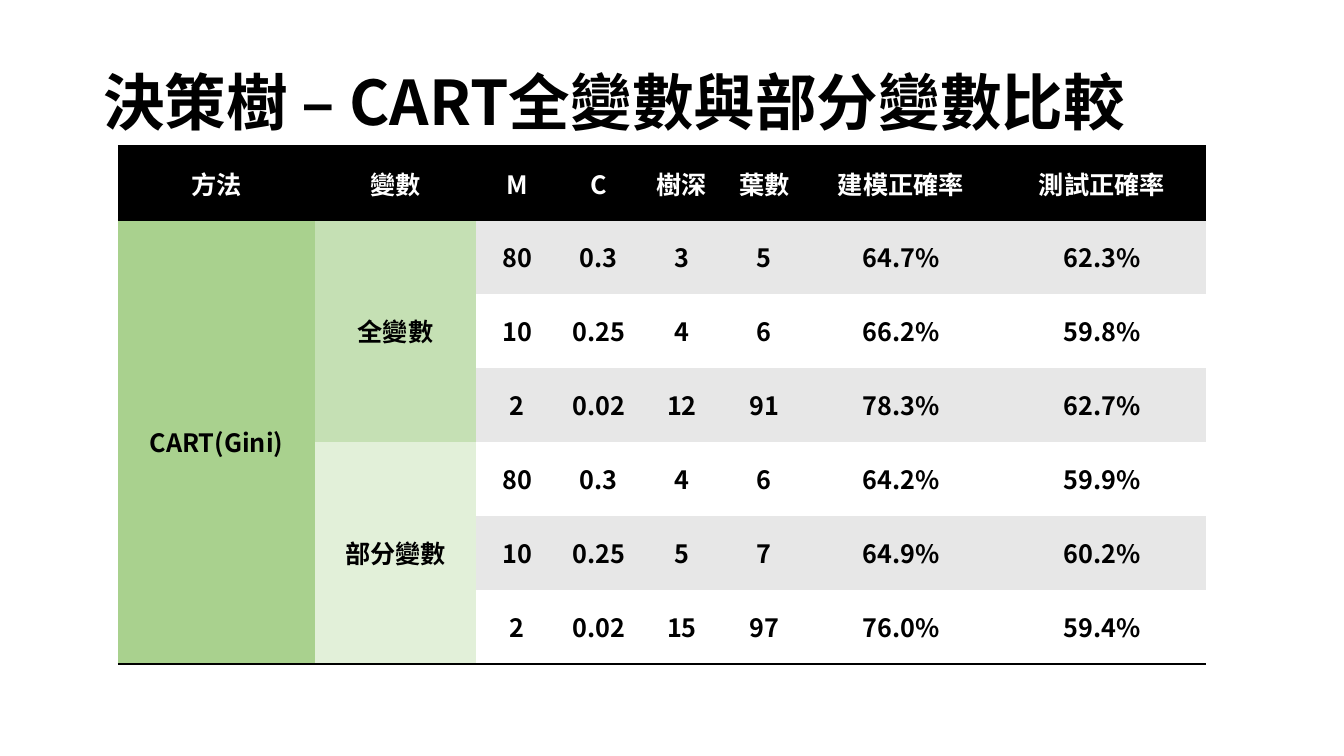
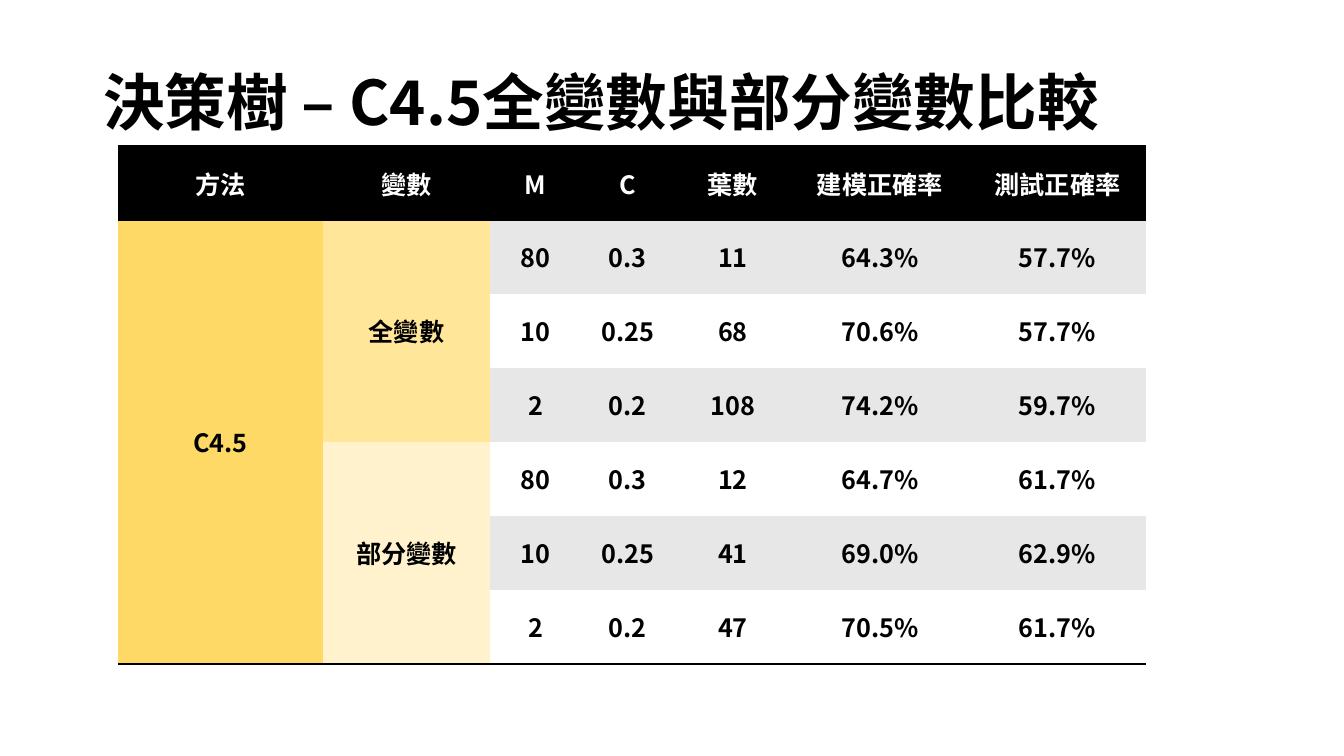
import lxml.etree
import pptx
import pptx.dml.color
import pptx.enum.text
import pptx.oxml.ns
import pptx.util

PX = 12192000 / 1344
FONT = "Noto Sans CJK TC"
BLACK, WHITE, GRAY = "000000", "FFFFFF", "E7E7E7"
NO_STYLE = "{2D5ABB26-0587-4C30-8999-92F81FD0307C}"
TITLE_BOX = (93, 65, 1159, 82)
TABLE_LEFT, TABLE_TOP, ROW_HEIGHT = 118, 146, 74

COMPARISONS = [
    {
        "title": "決策樹 – CART全變數與部分變數比較",
        "method": "CART(Gini)",
        "shades": ("A9D18E", "C5E0B4", "E2F0D9"),
        "widths": (197, 161, 83, 80, 86, 79, 194, 208),
        "heads": ("方法", "變數", "M", "C", "樹深", "葉數", "建模正確率", "測試正確率"),
        "results": [
            ("80", "0.3", "3", "5", "64.7%", "62.3%"),
            ("10", "0.25", "4", "6", "66.2%", "59.8%"),
            ("2", "0.02", "12", "91", "78.3%", "62.7%"),
            ("80", "0.3", "4", "6", "64.2%", "59.9%"),
            ("10", "0.25", "5", "7", "64.9%", "60.2%"),
            ("2", "0.02", "15", "97", "76.0%", "59.4%"),
        ],
    },
    {
        "title": "決策樹 – C4.5全變數與部分變數比較",
        "method": "C4.5",
        "shades": ("FFD966", "FFE699", "FFF2CC"),
        "widths": (205, 167, 91, 94, 116, 178, 177),
        "heads": ("方法", "變數", "M", "C", "葉數", "建模正確率", "測試正確率"),
        "results": [
            ("80", "0.3", "11", "64.3%", "57.7%"),
            ("10", "0.25", "68", "70.6%", "57.7%"),
            ("2", "0.2", "108", "74.2%", "59.7%"),
            ("80", "0.3", "12", "64.7%", "61.7%"),
            ("10", "0.25", "41", "69.0%", "62.9%"),
            ("2", "0.2", "47", "70.5%", "61.7%"),
        ],
    },
]


def px(length):
    return pptx.util.Emu(round(length * PX))


def color(value):
    return pptx.dml.color.RGBColor.from_string(value)


def write(frame, text, size=18, ink=BLACK, align="CENTER", line_spacing=None):
    para = frame.paragraphs[0]
    para.alignment = getattr(pptx.enum.text.PP_ALIGN, align)
    para.line_spacing = line_spacing
    span = para.add_run()
    span.text = text
    span.font.size = pptx.util.Pt(size)
    span.font.bold = True
    span.font.color.rgb = color(ink)
    span.font.name = FONT
    properties = span.font._element
    east_asian = lxml.etree.SubElement(properties, pptx.oxml.ns.qn("a:ea"))
    east_asian.set("typeface", FONT)


def add_border(cell, side):
    properties = cell._tc.get_or_add_tcPr()
    line = lxml.etree.Element(pptx.oxml.ns.qn("a:ln" + side), w=str(pptx.util.Pt(2)))
    fill = lxml.etree.SubElement(line, pptx.oxml.ns.qn("a:solidFill"))
    lxml.etree.SubElement(fill, pptx.oxml.ns.qn("a:srgbClr"), val=BLACK)
    properties.insert(0, line)


def fill_cell(cell, text, background, ink=BLACK, borders=""):
    cell.fill.solid()
    cell.fill.fore_color.rgb = color(background)
    cell.vertical_anchor = pptx.enum.text.MSO_ANCHOR.MIDDLE
    write(cell.text_frame, text, ink=ink)
    for side in borders:
        add_border(cell, side)


def merge_down(table, row, column, count, text, background):
    last = row + count - 1
    table.cell(row, column).merge(table.cell(last, column))
    at_end = last == len(table.rows) - 1
    fill_cell(table.cell(row, column), text, background, borders="B" if at_end else "")
    if at_end:
        add_border(table.cell(last, column), "B")


def place_title(page, text, box):
    title = page.shapes.title
    title.left, title.top, title.width, title.height = map(px, box)
    frame = title.text_frame
    frame.auto_size = pptx.enum.text.MSO_AUTO_SIZE.NONE
    frame.vertical_anchor = pptx.enum.text.MSO_ANCHOR.MIDDLE
    write(frame, text, size=44, align="LEFT", line_spacing=0.9)


def place_table(page, comparison, left, top):
    widths, results = comparison["widths"], comparison["results"]
    row_count = len(results) + 1
    table = page.shapes.add_table(
        row_count, len(widths), px(left), px(top),
        px(sum(widths)), px(row_count * ROW_HEIGHT),
    ).table
    table._tbl.tblPr.find(pptx.oxml.ns.qn("a:tableStyleId")).text = NO_STYLE
    for column, width in zip(table.columns, widths):
        column.width = px(width)
    for row in table.rows:
        row.height = px(ROW_HEIGHT)

    for column, head in enumerate(comparison["heads"]):
        fill_cell(table.cell(0, column), head, BLACK, WHITE, borders="BT")
    for row, result in enumerate(results, 1):
        background = GRAY if row % 2 else WHITE
        borders = "B" if row == len(results) else ""
        for column, value in enumerate(result, 2):
            fill_cell(table.cell(row, column), value, background, borders=borders)

    method_shade, all_shade, part_shade = comparison["shades"]
    half = len(results) // 2
    merge_down(table, 1, 0, len(results), comparison["method"], method_shade)
    merge_down(table, 1, 1, half, "全變數", all_shade)
    merge_down(table, 1 + half, 1, half, "部分變數", part_shade)


def add_comparison(deck, comparison):
    page = deck.slides.add_slide(deck.slide_layouts.get_by_name("Title Only"))
    place_title(page, comparison["title"], TITLE_BOX)
    place_table(page, comparison, TABLE_LEFT, TABLE_TOP)


def main():
    deck = pptx.Presentation()
    deck.slide_width, deck.slide_height = px(1344), px(756)
    for comparison in COMPARISONS:
        add_comparison(deck, comparison)
    deck.save("out.pptx")


if __name__ == "__main__":
    main()
